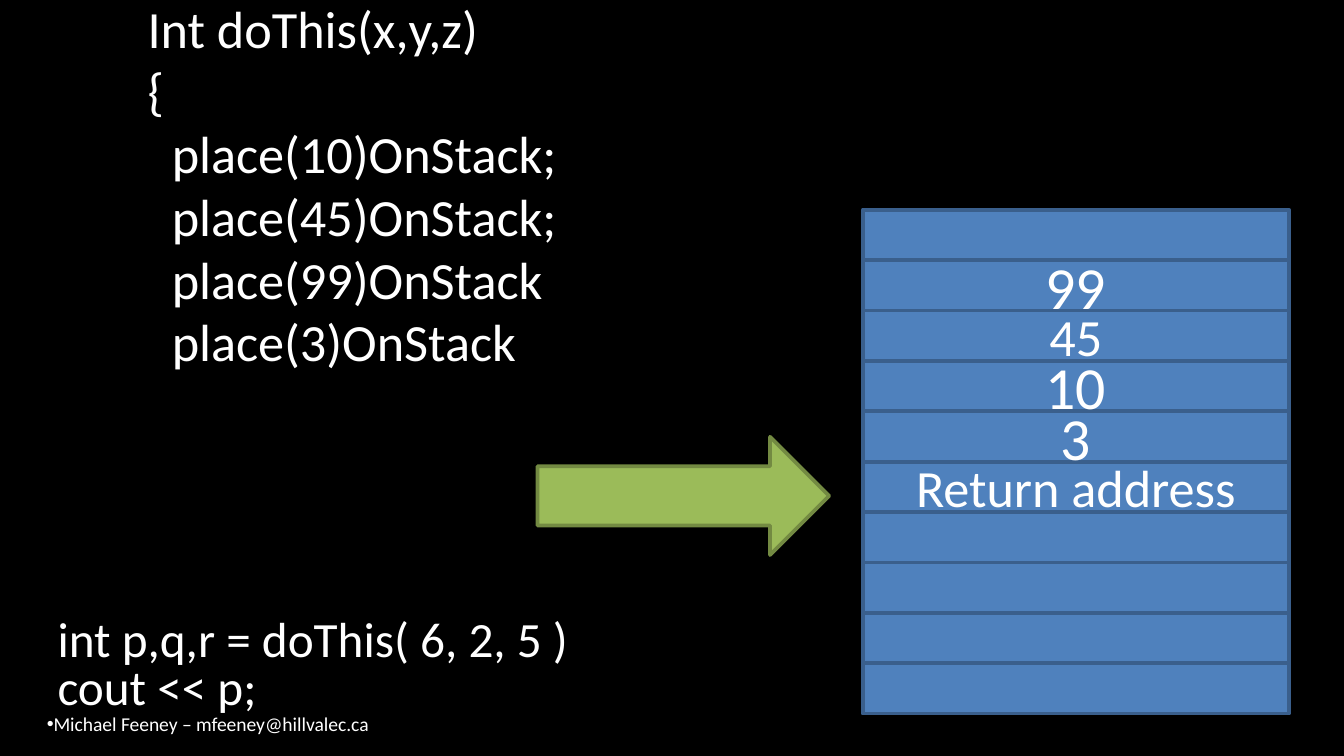
from pptx import Presentation
from pptx.dml.color import RGBColor
from pptx.enum import shapes, text
from pptx.oxml import parse_xml
from pptx.oxml.ns import nsdecls
from pptx import util as u

COLORS = {"back": "000000", "text": "FFFFFF", "cell": "4F81BD", "cell_line": "3A5F8C",
          "arrow": "9BBB59", "arrow_line": "738A42"}
STACK = [("", 28), ("99", 32), ("45", 28), ("10", 32), ("3", 32),
         ("Return address", 28), ("", 28), ("", 28), ("", 28), ("", 28)]
HEAD = ["Int doThis(x,y,z)", "{"]
BODY = ["place(10)OnStack;", "place(45)OnStack;", "place(99)OnStack", "place(3)OnStack"]
CALL = ["int p,q,r = doThis( 6, 2, 5 )", "cout << p;"]


def rgb(name):
    return RGBColor.from_string(COLORS[name])


def set_all(obj, values):
    for name, value in values.items():
        setattr(obj, name, value)


def write(p, lines, size):
    for i, words in enumerate(lines):
        if i:
            p.add_line_break()
        r = p.add_run()
        r.text = words
        set_all(r.font, {"size": u.Pt(size), "name": "Calibri"})
        r.font.color.rgb = rgb("text")


def add_text(s, box, lines, size, anchor=text.MSO_ANCHOR.MIDDLE):
    tf = s.shapes.add_textbox(*map(u.Inches, box)).text_frame
    set_all(tf, {"word_wrap": True, "vertical_anchor": anchor})
    write(tf.paragraphs[0], lines, size)
    return tf


def add_block(s, kind, box, color):
    sp = s.shapes.add_shape(kind, *map(u.Inches, box))
    sp.shadow.inherit = False
    sp.fill.solid()
    sp.fill.fore_color.rgb = rgb(color)
    sp.line.color.rgb = rgb(color + "_line")
    sp.line.width = u.Pt(2)
    return sp


def add_stack(s, left, top, width, height):
    row = height / len(STACK)
    for i, (words, size) in reversed(list(enumerate(STACK))):
        box = (left, top + i * row, width, row)
        sp = add_block(s, shapes.MSO_SHAPE.RECTANGLE, box, "cell")
        if words:
            tf = sp.text_frame
            set_all(tf, {"word_wrap": True, "vertical_anchor": text.MSO_ANCHOR.MIDDLE})
            p = tf.paragraphs[0]
            p.alignment = text.PP_ALIGN.CENTER
            write(p, [words], size)


def add_footer(s, *box):
    tf = add_text(s, box, ["Michael Feeney – mfeeney@hillvalec.ca"], 10.5,
                  text.MSO_ANCHOR.TOP)
    pPr = tf.paragraphs[0]._p.get_or_add_pPr()
    for tag in ('buFont %s typeface="Arial"', 'buChar %s char="•"'):
        pPr.append(parse_xml("<a:" + tag % nsdecls("a") + "/>"))


def add_code(s, *box):
    tf = add_text(s, box, HEAD, 28)
    p = tf.add_paragraph()
    p._p.get_or_add_pPr().set("marL", str(u.Inches(0.18)))
    write(p, BODY, 28)


def add_call(s, *box):
    tf = add_text(s, box, CALL, 26.4)
    tf.paragraphs[0].line_spacing = 0.8


def main():
    prs = Presentation()
    width = u.Inches(10)
    set_all(prs, {"slide_width": width, "slide_height": width * 9 // 16})
    s = prs.slides.add_slide(prs.slide_layouts[6])
    s.background.fill.solid()
    s.background.fill.fore_color.rgb = rgb("back")
    add_footer(s, 0.25, 5.25, 7.92, 0.29)
    add_code(s, 1, 0.31, 8.33, 2.12)
    add_stack(s, 6.42, 1.56, 3.17, 3.75)
    add_block(s, shapes.MSO_SHAPE.RIGHT_ARROW, (4, 3.25, 2.17, 0.88), "arrow")
    add_call(s, 0.33, 4.56, 8.33, 0.81)
    prs.save("out.pptx")


main()
